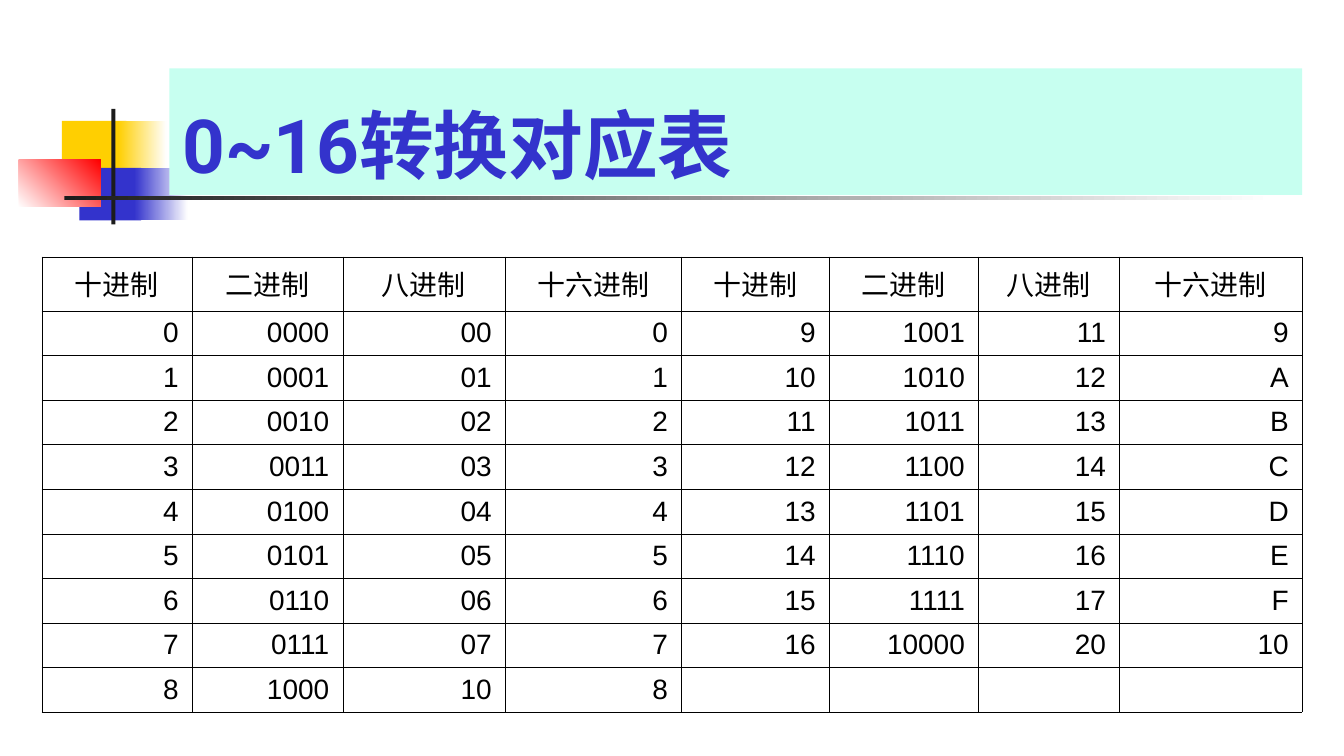
from dataclasses import dataclass

from lxml.etree import SubElement
from pptx import Presentation
from pptx.dml.color import RGBColor
from pptx.enum.shapes import MSO_SHAPE as Shape
from pptx.enum.text import MSO_ANCHOR as Anchor, PP_ALIGN as Align
from pptx.oxml.ns import qn
from pptx.util import Inches, Pt


@dataclass(frozen=True)
class Theme:
    yellow: str = "FFCF01"
    blue: str = "3333CC"
    red: str = "FF0000"
    dark: str = "1C1C1C"
    white: str = "FFFFFF"
    black: str = "000000"
    mint: str = "C7FFF0"
    title_font: str = "Roboto"
    body_font: str = "Arial"
    title_size: float = 40
    body_size: float = 15
    border: float = 0.06


THEME = Theme()
BASES = {"十进制": "d", "二进制": "04b", "八进制": "02o", "十六进制": "X"}
COLUMN_WIDTHS = (1.12, 1.12, 1.21, 1.31, 1.1, 1.11, 1.05, 1.36)
HEADER_HEIGHT, ROW_HEIGHT = 0.38, 0.32
LAST_NUMBER = 16
ROWS_PER_HALF = 9


def write(frame, text, *, font=THEME.body_font, size=THEME.body_size,
          color=THEME.black, bold=False, align=Align.LEFT):
    para = frame.paragraphs[0]
    para.alignment = align
    if not text:
        # An empty cell still needs its font and size, or its row grows.
        end = SubElement(para._p, qn("a:endParaRPr"), sz=str(int(size * 100)))
        SubElement(end, qn("a:latin"), typeface=font)
        return
    span = para.add_run()
    span.text = text
    span.font.name = font
    span.font.size = Pt(size)
    span.font.bold = bold
    span.font.color.rgb = RGBColor.from_string(color)


def add_block(page, box, color, fade_to=None, angle=0):
    """Add a borderless rectangle, plain or fading to a second colour."""
    block = page.shapes.add_shape(Shape.RECTANGLE, *map(Inches, box))
    block.shadow.inherit = False
    block.line.fill.background()
    if fade_to is None:
        block.fill.solid()
        block.fill.fore_color.rgb = RGBColor.from_string(color)
    else:
        block.fill.gradient()
        block.fill.gradient_angle = angle
        for stop, tint in zip(block.fill.gradient_stops, (color, fade_to)):
            stop.color.rgb = RGBColor.from_string(tint)
    return block


def add_ornament(page, box):
    """Draw the coloured blocks and the crossing bars beside the title."""
    left, top, width, height = box
    block = 0.39
    add_block(page, (left + 0.32, top + 0.09, 0.48, block), THEME.yellow)
    add_block(page, (left + 0.74, top + 0.09, 0.36, block), THEME.yellow, THEME.white)
    add_block(page, (left + 0.45, top + 0.44, 0.46, block), THEME.blue)
    add_block(page, (left + 0.86, top + 0.44, 0.4, block), THEME.blue, THEME.white)
    add_block(page, (left, top + 0.38, 0.61, 0.35), THEME.white, THEME.red, angle=45)
    add_block(page, (left + 0.69, top, 0.03, height), THEME.dark)
    add_block(page, (left + 0.34, top + 0.65, width - 0.34, 0.03), THEME.dark, THEME.white)


def add_title(page, box, text):
    frame = add_block(page, box, THEME.mint).text_frame
    frame.word_wrap = True
    frame.vertical_anchor = Anchor.BOTTOM
    write(frame, text, font=THEME.title_font, size=THEME.title_size,
          color=THEME.blue, bold=True)


def set_borders(cell):
    props = cell._tc.get_or_add_tcPr()
    for index, side in enumerate(("lnL", "lnR", "lnT", "lnB")):
        line = props.makeelement(qn(f"a:{side}"), {"w": str(Pt(THEME.border))})
        fill = SubElement(line, qn("a:solidFill"))
        SubElement(fill, qn("a:srgbClr"), val=THEME.black)
        props.insert(index, line)


def conversion_rows():
    """Return the header and the numbers in each base, in two halves."""
    def in_bases(number):
        if number > LAST_NUMBER:
            return [""] * len(BASES)
        return [format(number, code) for code in BASES.values()]

    body = [in_bases(n) + in_bases(n + ROWS_PER_HALF) for n in range(ROWS_PER_HALF)]
    return [list(BASES) * 2] + body


def add_conversion_table(page, box, rows):
    table = page.shapes.add_table(len(rows), len(rows[0]), *map(Inches, box)).table
    table.first_row = table.horz_banding = False
    for column, width in zip(table.columns, COLUMN_WIDTHS):
        column.width = Inches(width)
    for r, values in enumerate(rows):
        table.rows[r].height = Inches(ROW_HEIGHT if r else HEADER_HEIGHT)
        for c, value in enumerate(values):
            cell = table.cell(r, c)
            cell.fill.background()
            cell.margin_top = cell.margin_bottom = Inches(0.05)
            set_borders(cell)
            write(cell.text_frame, value, align=Align.RIGHT if r else Align.CENTER)


def main():
    deck = Presentation()
    deck.slide_width, deck.slide_height = Inches(10), Inches(10 * 9 / 16)
    page = deck.slides.add_slide(deck.slide_layouts[6])
    add_ornament(page, (0.14, 0.81, 9.34, 0.86))
    add_title(page, (1.26, 0.51, 8.43, 0.94), "0~16转换对应表")
    add_conversion_table(page, (0.31, 1.91, 9.37, 3.25), conversion_rows())
    deck.save("out.pptx")


if __name__ == "__main__":
    main()
